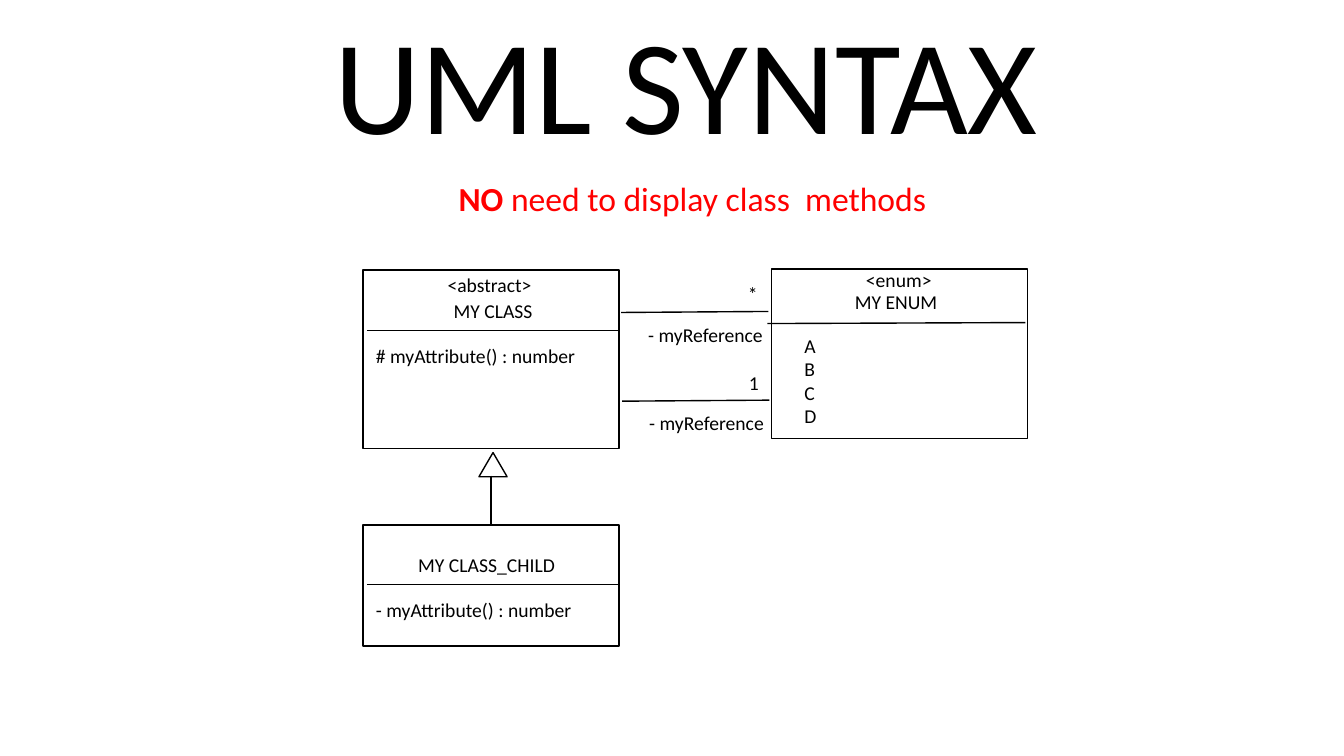
import pptx
import pptx.dml.color
import pptx.enum.shapes
import pptx.enum.text
import pptx.oxml.ns
import pptx.util
from lxml import etree

SHAPE = pptx.enum.shapes.MSO_SHAPE


def rgb(value):
    return pptx.dml.color.RGBColor.from_string(value)


class Diagram:
    """Draws styled UML parts on one slide, on a grid of tenth-inch cells."""

    cell = 0.1
    font = "Calibri"
    ink = "000000"
    paper = "FFFFFF"
    accent = "FF0000"
    stroke = 1
    body = 14

    def __init__(self, slide):
        self.slide = slide

    def grid(self, *cells):
        return [pptx.util.Inches(n * self.cell) for n in cells]

    def text(self, col, row, cols, rows, paragraphs, size=body, color=ink):
        tb = self.slide.shapes.add_textbox(*self.grid(col, row, cols, rows))
        tf = tb.text_frame
        tf.word_wrap = False
        tf.auto_size = pptx.enum.text.MSO_AUTO_SIZE.SHAPE_TO_FIT_TEXT
        for i, runs in enumerate(paragraphs):
            p = tf.add_paragraph() if i else tf.paragraphs[0]
            for words, bold in runs:
                r = p.add_run()
                r.text = words
                r.font.name = self.font
                r.font.size = pptx.util.Pt(size)
                r.font.bold = bold
                r.font.color.rgb = rgb(color)

    def label(self, col, row, cols, words):
        self.text(col, row, cols, 3.4, [[(words, False)]])

    def shape(self, kind, col, row, cols, rows):
        sp = self.slide.shapes.add_shape(kind, *self.grid(col, row, cols, rows))
        sp.shadow.inherit = False
        sp.fill.solid()
        sp.fill.fore_color.rgb = rgb(self.paper)
        sp.line.color.rgb = rgb(self.ink)
        sp.line.width = pptx.util.Pt(self.stroke)
        return sp

    def line(self, col1, row1, col2, row2):
        cx = self.slide.shapes.add_connector(
            pptx.enum.shapes.MSO_CONNECTOR.STRAIGHT,
            *self.grid(col1, row1, col2, row2))
        cx.line.color.rgb = rgb(self.ink)
        cx.line.width = pptx.util.Pt(self.stroke)
        etree.SubElement(cx._element.spPr, pptx.oxml.ns.qn("a:effectLst"))
        return cx

    def class_box(self, row, rows, divider, attribute, attribute_cols):
        box = self.shape(SHAPE.RECTANGLE, 36, row, 25.4, rows)
        self.line(36.4, divider, 61.4, divider)
        self.label(36.3, divider + 0.8, attribute_cols, attribute)
        return box

    def association(self, col, row, multiplicity):
        self.line(col, row, col + 14.6, row - 0.1)
        self.label(col + 11.6, row - 3.5, 3, multiplicity)
        self.label(col + 1.7, row + 0.5, 13.5, "- myReference")

    def inheritance(self, child):
        self.shape(SHAPE.ISOSCELES_TRIANGLE, 47.5, 44.9, 2.8, 2.4)
        self.line(48.7, 47.2, 48.7, 52.1).end_connect(child, 0)


def main():
    prs = pptx.Presentation()
    prs.slide_width = pptx.util.Inches(13.33)
    prs.slide_height = pptx.util.Inches(7.5)
    d = Diagram(prs.slides.add_slide(prs.slide_layouts[6]))

    d.text(32.2, -0.5, 72.5, 17.2, [[("UML SYNTAX", False)]], 96)
    d.text(44.5, 17.2, 48.7, 5,
           [[("NO", True), (" need to display class  methods", False)]],
           24, d.accent)

    d.class_box(26.8, 17.7, 32.8, "# myAttribute() : number", 22)
    d.label(43.4, 26.6, 10.5, "<abstract>")
    d.label(44, 29.2, 9.9, "MY CLASS")

    d.shape(SHAPE.RECTANGLE, 76.5, 26.7, 25.4, 16.8)
    d.line(76.1, 32.1, 101.7, 32)
    d.label(84.9, 26.1, 8.6, "<enum>")
    d.label(83.8, 28.3, 10.3, "MY ENUM")
    d.text(78.8, 32.6, 3.2, 10.4, [[(value, False)] for value in "ABCD"])

    d.association(61.6, 31, "*")
    d.association(61.7, 39.8, "1")

    child = d.class_box(52.1, 12, 58, "- myAttribute() : number", 21.6)
    d.label(40.5, 54.4, 15.7, "MY CLASS_CHILD")
    d.inheritance(child)

    prs.save("out.pptx")


if __name__ == "__main__":
    main()
